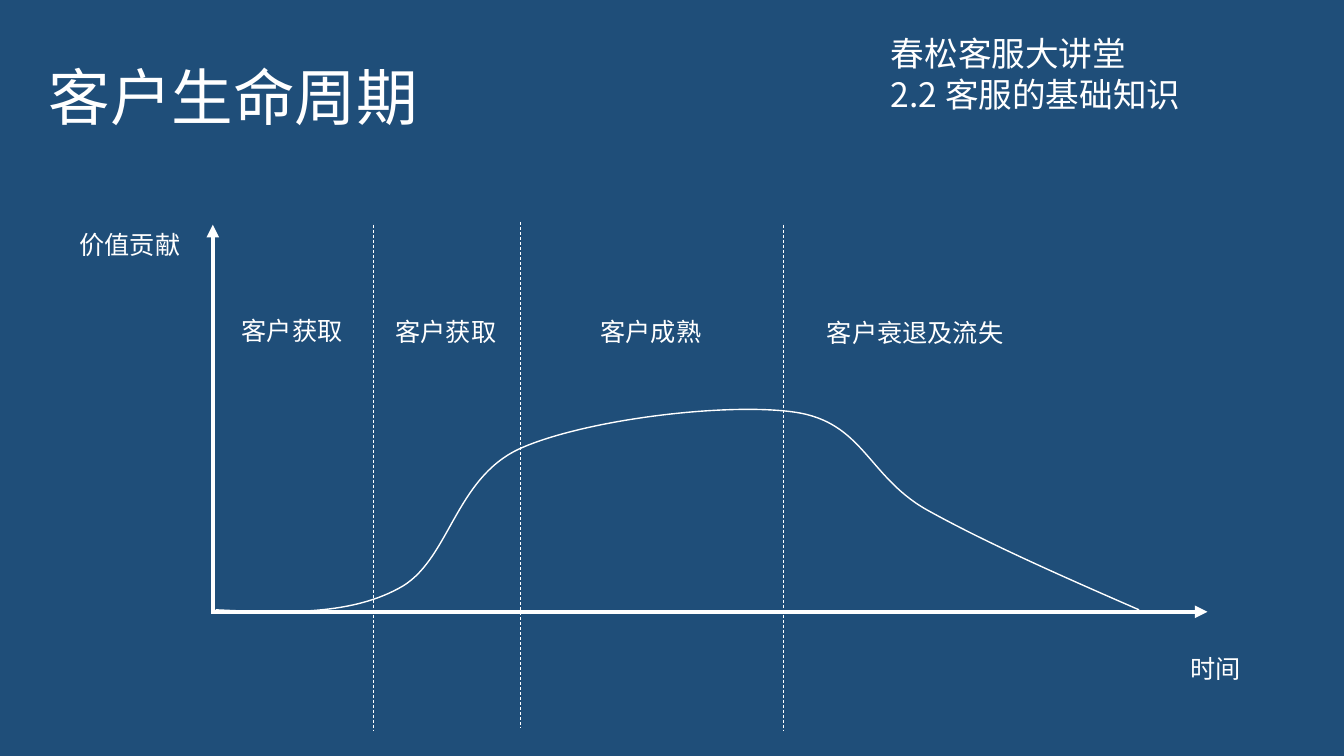
from dataclasses import dataclass

from lxml.etree import SubElement
from pptx import Presentation
from pptx.dml.color import RGBColor
from pptx.enum.dml import MSO_LINE
from pptx.enum.shapes import MSO_CONNECTOR
from pptx.enum.text import MSO_ANCHOR, MSO_AUTO_SIZE, PP_ALIGN
from pptx.oxml.ns import qn
from pptx.util import Pt


@dataclass(frozen=True)
class Theme:
    background: RGBColor = RGBColor(0x1F, 0x4E, 0x79)
    ink: RGBColor = RGBColor(0xFF, 0xFF, 0xFF)
    chinese_font: str = "Noto Sans CJK SC"
    axis_font: str = "Calibri"
    title_size: int = 44
    course_size: int = 24
    label_size: int = 18
    axis_width: float = 3
    curve_width: float = 1
    divider_width: float = 0.5


class LifecycleSlide:
    def __init__(self, slide, theme):
        self.slide = slide
        self.theme = theme
        fill = slide.background.fill
        fill.solid()
        fill.fore_color.rgb = theme.background

    def add_words(self, paragraph, words, size, font_name):
        run = paragraph.add_run()
        run.text = words
        run.font.size = Pt(size)
        run.font.color.rgb = self.theme.ink
        run.font.name = font_name
        SubElement(run.font._element, qn("a:ea")).set("typeface", font_name)

    def title(self, words, left, top, width, height):
        heading = self.slide.shapes.title
        heading.left, heading.top = Pt(left), Pt(top)
        heading.width, heading.height = Pt(width), Pt(height)
        frame = heading.text_frame
        frame.vertical_anchor = MSO_ANCHOR.MIDDLE
        paragraph = frame.paragraphs[0]
        paragraph.alignment = PP_ALIGN.LEFT
        paragraph.line_spacing = 0.9
        self.add_words(paragraph, words, self.theme.title_size, self.theme.chinese_font)

    def text(self, words, left, top, width, height, size, font_name, wrap=False):
        box = self.slide.shapes.add_textbox(Pt(left), Pt(top), Pt(width), Pt(height))
        frame = box.text_frame
        frame.word_wrap = wrap
        frame.auto_size = MSO_AUTO_SIZE.SHAPE_TO_FIT_TEXT
        self.add_words(frame.paragraphs[0], words, size, font_name)

    def label(self, words, left, top, font_name):
        size = self.theme.label_size
        self.text(words, left, top, len(words) * size + 14.4, 29, size, font_name)

    def line(self, start, end, width):
        connector = self.slide.shapes.add_connector(
            MSO_CONNECTOR.STRAIGHT, *map(Pt, start + end)
        )
        connector.line.color.rgb = self.theme.ink
        connector.line.width = Pt(width)
        SubElement(connector._element.spPr, qn("a:effectLst"))
        return connector

    def axis(self, tip, base):
        arrow = self.line(tip, base, self.theme.axis_width)
        stroke = arrow._element.spPr.find(qn("a:ln"))
        SubElement(stroke, qn("a:headEnd")).set("type", "triangle")

    def divider(self, x, top, bottom):
        boundary = self.line((x, top), (x, bottom), self.theme.divider_width)
        boundary.line.dash_style = MSO_LINE.DASH

    def curve(self, start, points):
        builder = self.slide.shapes.build_freeform(Pt(start[0]), Pt(start[1]))
        builder.add_line_segments([(Pt(x), Pt(y)) for x, y in points], close=False)
        shape = builder.convert_to_shape()
        shape.shadow.inherit = False
        shape.fill.background()
        shape.line.color.rgb = self.theme.ink
        shape.line.width = Pt(self.theme.curve_width)
        outline = next(shape._element.iter(qn("a:path")))
        segments = outline.findall(qn("a:lnTo"))
        for first in range(0, len(segments), 3):
            bezier = SubElement(outline, qn("a:cubicBezTo"))
            for segment in segments[first:first + 3]:
                bezier.append(segment[0])
                outline.remove(segment)


def main():
    theme = Theme()
    deck = Presentation()
    deck.slide_width, deck.slide_height = Pt(960), Pt(540)
    page = LifecycleSlide(deck.slides.add_slide(deck.slide_layouts[5]), theme)

    page.title("客户生命周期", 27.4, 19.4, 518.4, 104.4)

    page.axis((152, 160.5), (152, 438.5))
    page.axis((862.5, 437), (150.5, 437))

    for x, top in ((266.5, 160.5), (372, 158.5), (559.5, 160.5)):
        page.divider(x, top, top + 361.5)

    page.curve((154, 435.6), [
        (200.9, 437.8), (248.4, 439.9), (284.4, 420.5),
        (321.1, 401.8), (324, 342), (371.5, 320.4),
        (418.3, 299.5), (519.8, 287.3), (568.1, 294.5),
        (616.3, 301.7), (619.9, 339.8), (661, 363.6),
        (702, 386.6), (757.4, 411.1), (813.6, 435.6),
    ])

    for stage, left, top in (
        ("客户获取", 165.6, 221.8),
        ("客户获取", 275.4, 222.5),
        ("客户成熟", 421.9, 222.5),
        ("客户衰退及流失", 583.6, 223.2),
    ):
        page.label(stage, left, top, theme.chinese_font)

    page.label("时间", 843, 463, theme.axis_font)
    page.label("价值贡献", 49.7, 160.5, theme.axis_font)

    for course, top, width, wrap in (
        ("2.2 客服的基础知识", 49, 225.4, True),
        ("春松客服大讲堂", 20.2, 184.3, False),
    ):
        page.text(course, 629.3, top, width, 36, theme.course_size,
                  theme.chinese_font, wrap)

    deck.save("out.pptx")


if __name__ == "__main__":
    main()
